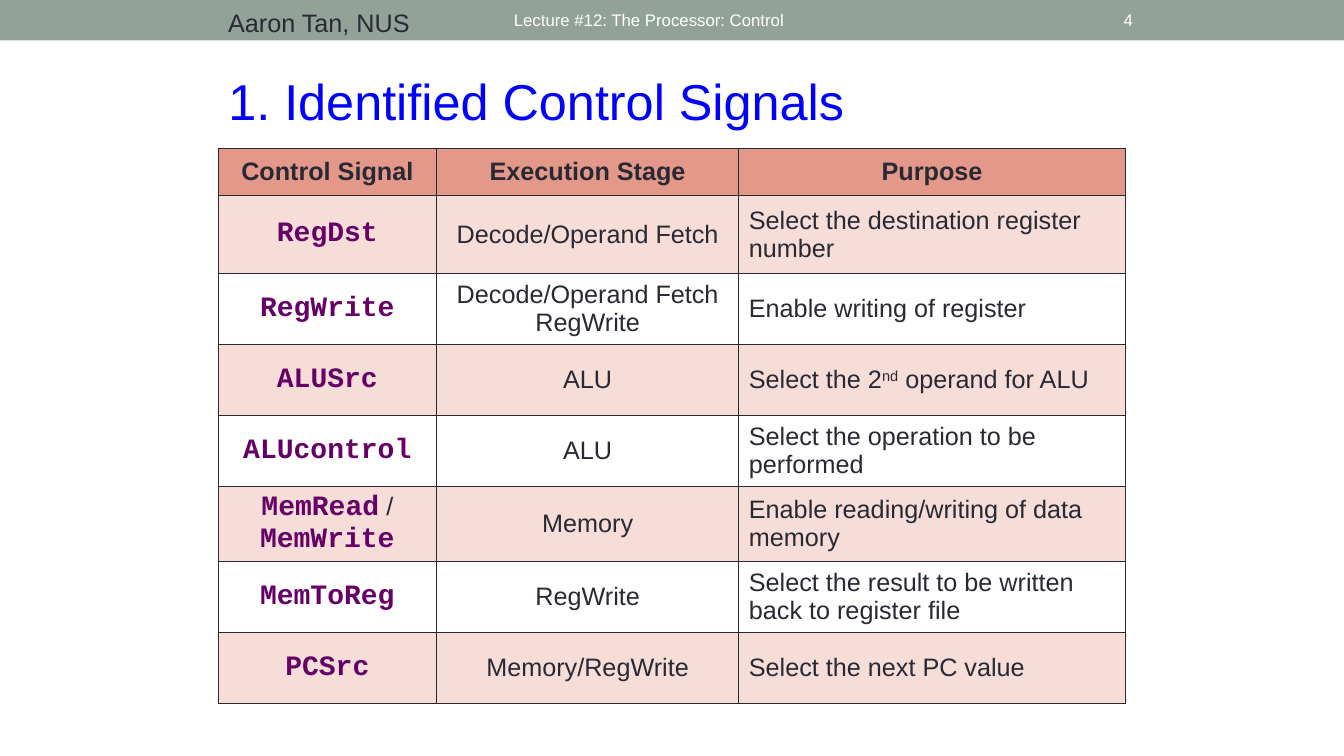
"""Build the slide that lists the control signals of a processor."""
from dataclasses import dataclass, field

from lxml import etree
from pptx import Presentation
from pptx import util as u
from pptx.dml.color import RGBColor
from pptx.enum import shapes, text
from pptx.oxml import ns

ALIGN = text.PP_ALIGN
ANCHOR = text.MSO_ANCHOR


@dataclass(frozen=True)
class Style:
    size: int
    color: str
    font: str = "Arial"
    bold: bool = False
    baseline: int = 0


@dataclass(frozen=True)
class Theme:
    bar: str = "93A299"
    header_fill: str = "E4988A"
    band_fill: str = "F6DDD8"
    border: str = "292934"
    border_width: int = 1
    title: Style = Style(36, "0000FF")
    caption: Style = Style(12, "FFFFFF")
    body: Style = Style(18, "292934")
    header: Style = Style(18, "292934", bold=True)
    signal: Style = Style(20, "660066", "Courier New", bold=True)
    ordinal: Style = Style(18, "292934", baseline=30000)


THEME = Theme()


@dataclass(frozen=True)
class Box:
    left: float
    top: float
    width: float
    height: float

    def lengths(self) -> tuple:
        return tuple(u.Cm(value) for value in (self.left, self.top, self.width, self.height))


@dataclass(frozen=True)
class Segment:
    words: str
    style: Style = field(default=THEME.body)


@dataclass(frozen=True)
class Label:
    box: Box
    segment: Segment
    align: ALIGN = ALIGN.LEFT
    anchor: ANCHOR = ANCHOR.MIDDLE


@dataclass(frozen=True)
class Row:
    height: float
    signal: tuple
    stage: tuple
    purpose: tuple


def signal_row(signal: str, stage: str, purpose: str, height: float = 1.79) -> Row:
    return Row(height, (Segment(signal, THEME.signal),), (Segment(stage),), (Segment(purpose),))


SLIDE = Box(0, 0, 33.87, 19.05)
BAR = Box(0, 0, 33.87, 1.02)
TITLE = Label(Box(5.5, 1.63, 22.86, 1.8),
              Segment("1. Identified Control Signals", THEME.title), anchor=ANCHOR.TOP)
LABELS = (
    Label(Box(12.7, 0.05, 15.24, 0.92),
          Segment("Lecture #12: The Processor: Control", THEME.caption)),
    Label(Box(5.5, 0.05, 8.05, 0.92), Segment("Aaron Tan, NUS"), anchor=ANCHOR.TOP),
    Label(Box(26.39, 0.05, 2.41, 0.92), Segment("4", THEME.caption), ALIGN.RIGHT),
)
TABLE = Box(5.5, 3.74, 22.86, 14.0)
COLUMN_WIDTHS = (5.5, 7.62, 9.74)
HEADER = Row(1.19, *((Segment(words, THEME.header),)
                     for words in ("Control Signal", "Execution Stage", "Purpose")))
ROWS = (
    HEADER,
    signal_row("RegDst", "Decode/Operand Fetch", "Select the destination register number", 1.96),
    signal_row("RegWrite", "Decode/Operand Fetch\nRegWrite", "Enable writing of register"),
    Row(1.79, (Segment("ALUSrc", THEME.signal),), (Segment("ALU"),),
        (Segment("Select the 2"), Segment("nd", THEME.ordinal), Segment(" operand for ALU"))),
    signal_row("ALUcontrol", "ALU", "Select the operation to be performed"),
    Row(1.88, (Segment("MemRead", THEME.signal), Segment(" / "),
               Segment("MemWrite", THEME.signal)),
        (Segment("Memory"),), (Segment("Enable reading/writing of data memory"),)),
    signal_row("MemToReg", "RegWrite", "Select the result to be written back to register file"),
    signal_row("PCSrc", "Memory/RegWrite", "Select the next PC value"),
)


def format_run(run, style: Style) -> None:
    run.font.name = style.font
    run.font.size = u.Pt(style.size)
    run.font.bold = style.bold
    run.font.color.rgb = RGBColor.from_string(style.color)
    if style.baseline:
        run.font._element.set("baseline", str(style.baseline))


def write(text_frame, segments: tuple, align: ALIGN) -> None:
    first, *others = segments
    text_frame.text = first.words
    for paragraph in text_frame.paragraphs:
        paragraph.alignment = align
        for run in paragraph.runs:
            format_run(run, first.style)
    for segment in others:
        run = text_frame.paragraphs[-1].add_run()
        run.text = segment.words
        format_run(run, segment.style)


def draw_label(shape, label: Label) -> None:
    shape.left, shape.top, shape.width, shape.height = label.box.lengths()
    shape.text_frame.word_wrap = True
    shape.text_frame.auto_size = text.MSO_AUTO_SIZE.NONE
    shape.text_frame.vertical_anchor = label.anchor
    write(shape.text_frame, (label.segment,), label.align)


def draw_bar(slide) -> None:
    bar = slide.shapes.add_shape(shapes.MSO_SHAPE.RECTANGLE, *BAR.lengths())
    bar.shadow.inherit = False
    bar.fill.solid()
    bar.fill.fore_color.rgb = RGBColor.from_string(THEME.bar)
    bar.line.fill.background()


def add_borders(cell) -> None:
    properties = cell._tc.get_or_add_tcPr()
    for side in ("a:lnL", "a:lnR", "a:lnT", "a:lnB"):
        line = etree.SubElement(properties, ns.qn(side), w=str(u.Pt(THEME.border_width)))
        fill = etree.SubElement(line, ns.qn("a:solidFill"))
        etree.SubElement(fill, ns.qn("a:srgbClr"), val=THEME.border)


def fill_cell(cell, row_index: int) -> None:
    if row_index and row_index % 2 == 0:
        cell.fill.background()
        return
    cell.fill.solid()
    color = THEME.band_fill if row_index else THEME.header_fill
    cell.fill.fore_color.rgb = RGBColor.from_string(color)


def draw_table(slide) -> None:
    frame = slide.shapes.add_table(len(ROWS), len(COLUMN_WIDTHS), *TABLE.lengths())
    table = frame.table
    table.horz_banding = False
    for column, width in zip(table.columns, COLUMN_WIDTHS):
        column.width = u.Cm(width)
    for row_index, row in enumerate(ROWS):
        table.rows[row_index].height = u.Cm(row.height)
        for column_index, segments in enumerate((row.signal, row.stage, row.purpose)):
            cell = table.cell(row_index, column_index)
            is_purpose = row_index > 0 and segments is row.purpose
            cell.vertical_anchor = ANCHOR.MIDDLE
            write(cell.text_frame, segments, ALIGN.LEFT if is_purpose else ALIGN.CENTER)
            add_borders(cell)
            fill_cell(cell, row_index)


def main() -> None:
    presentation = Presentation()
    presentation.slide_width = u.Cm(SLIDE.width)
    presentation.slide_height = u.Cm(SLIDE.height)
    slide = presentation.slides.add_slide(presentation.slide_layouts.get_by_name("Title Only"))
    draw_bar(slide)
    draw_label(slide.shapes.title, TITLE)
    for label in LABELS:
        draw_label(slide.shapes.add_textbox(*label.box.lengths()), label)
    draw_table(slide)
    presentation.save("out.pptx")


if __name__ == "__main__":
    main()
